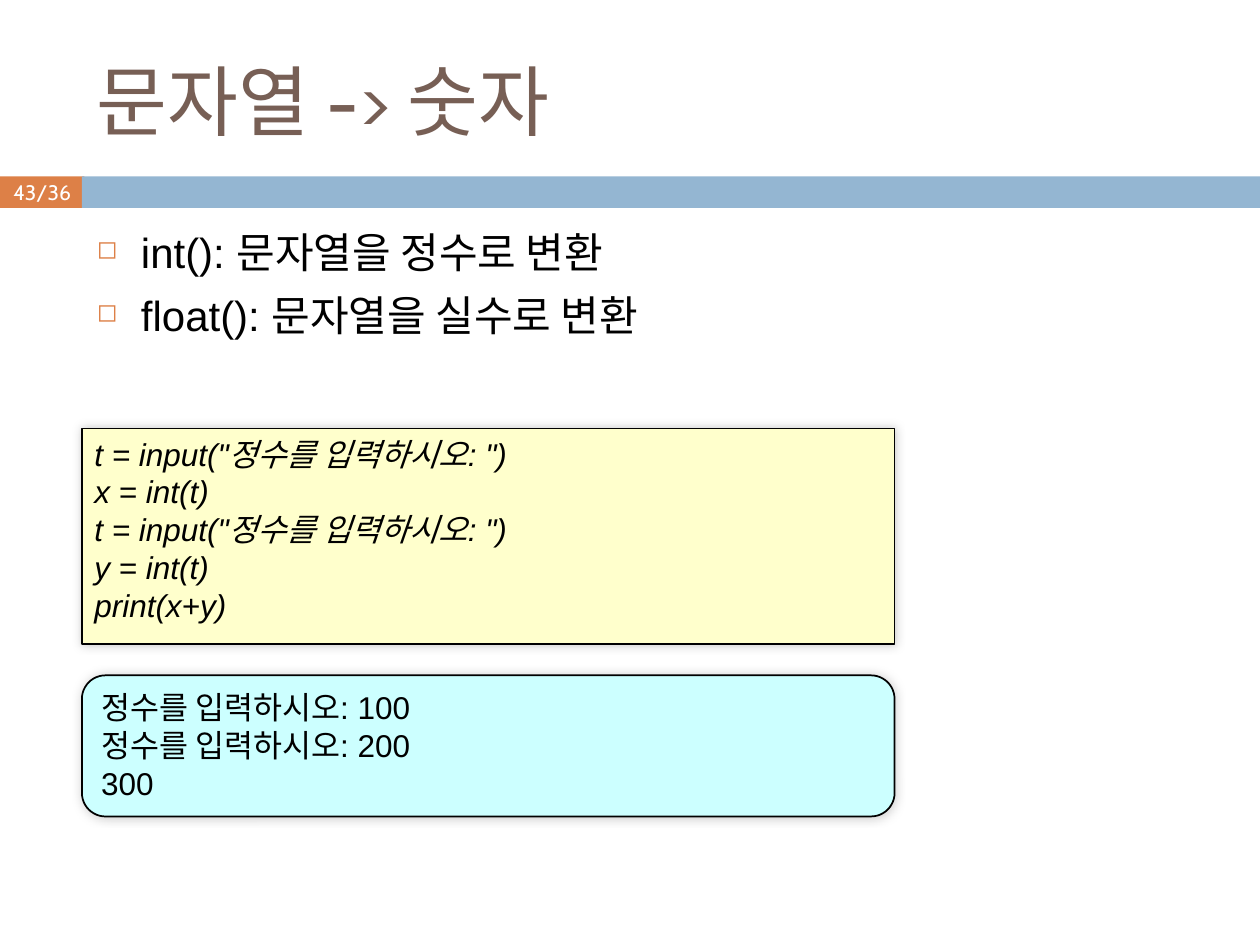
"""Build a slide on converting strings to numbers in Python."""
from lxml import etree
from pptx import Presentation
from pptx.dml.color import RGBColor
from pptx.enum.shapes import MSO_SHAPE as Shape
from pptx.enum.text import MSO_ANCHOR as Anchor, PP_ALIGN as Align
from pptx.oxml.ns import qn
from pptx.util import Inches, Pt

COLORS = {"orange": "DD8047", "blue": "94B6D2", "brown": "775F55", "black": "000000",
          "white": "FFFFFF", "yellow": "FFFFCC", "cyan": "CCFFFF"}

TITLE = ["문자열 -> 숫자"]
PAGE = ["43/36"]
FUNCTIONS = ["int(): 문자열을 정수로 변환", "float(): 문자열을 실수로 변환"]
PROMPT = "정수를 입력하시오: "
CODE = [f't = input("{PROMPT}")', "x = int(t)", f't = input("{PROMPT}")', "y = int(t)", "print(x+y)"]
OUTPUT = [f"{PROMPT}100", f"{PROMPT}200", "300"]

BAND_TOP, BAND_HEIGHT = 1.4, 0.25
BOX_LEFT, BOX_WIDTH = 0.65, 6.45
TEXT_LEFT, TEXT_WIDTH = 0.67, 8.92

CODE_FONT = {"name": "Arial", "size": Pt(18), "italic": True}
OUTPUT_FONT = {"name": "Arial", "size": Pt(18)}


def rgb(color):
    return RGBColor.from_string(COLORS[color])


def write(shape, lines, font, color="black", anchor=Anchor.TOP, align=Align.LEFT):
    frame = shape.text_frame
    frame.word_wrap = True
    frame.vertical_anchor = anchor
    frame.text = "\n".join(lines)
    for paragraph in frame.paragraphs:
        paragraph.alignment = align
        for run in paragraph.runs:
            for name, value in font.items():
                setattr(run.font, name, value)
            run.font.color.rgb = rgb(color)
    return frame


def add_panel(slide, kind, box, fill):
    panel = slide.shapes.add_shape(kind, *map(Inches, box))
    panel.shadow.inherit = False
    panel.fill.solid()
    panel.fill.fore_color.rgb = rgb(fill)
    panel.line.fill.background()
    return panel


def add_child(parent, tag, **attributes):
    return etree.SubElement(parent, qn(tag), attributes)


def outline_and_shade(panel):
    panel.line.color.rgb = rgb("black")
    panel.line.width = Pt(1)
    effects = panel._element.spPr.find(qn("a:effectLst"))
    shadow = add_child(effects, "a:outerShdw", blurRad=str(Pt(6)), dist="0",
                       dir=str(315 * 60000), algn="ctr", rotWithShape="0")
    shade = add_child(shadow, "a:srgbClr", val=COLORS["black"])
    add_child(shade, "a:alpha", val="20000")


def add_bullet(paragraph):
    paragraph.space_before = Pt(7)
    properties = paragraph._p.get_or_add_pPr()
    properties.set("marL", str(Inches(0.35)))
    properties.set("indent", str(-Inches(0.35)))
    tint = add_child(properties, "a:buClr")
    add_child(tint, "a:srgbClr", val=COLORS["orange"])
    add_child(properties, "a:buSzPct", val="60000")
    add_child(properties, "a:buChar", char="◻")


def add_text(slide, top, height):
    return slide.shapes.add_textbox(*map(Inches, (TEXT_LEFT, top, TEXT_WIDTH, height)))


def main():
    deck = Presentation()
    deck.slide_width, deck.slide_height = Inches(10), Inches(7.5)
    slide = deck.slides.add_slide(deck.slide_layouts[6])

    badge = add_panel(slide, Shape.RECTANGLE, (0, BAND_TOP, TEXT_LEFT, BAND_HEIGHT), "orange")
    badge.text_frame.margin_left = badge.text_frame.margin_right = 0
    badge.text_frame.margin_top = badge.text_frame.margin_bottom = 0
    write(badge, PAGE, {"name": "Cabin", "size": Pt(12)}, "white", Anchor.MIDDLE, Align.CENTER)
    add_panel(slide, Shape.RECTANGLE, (BOX_LEFT, BAND_TOP, 10 - BOX_LEFT, BAND_HEIGHT), "blue")

    write(add_text(slide, 0.25, 1.08), TITLE, {"name": "Cabin", "size": Pt(44)}, "brown", Anchor.MIDDLE)
    functions = write(add_text(slide, 1.75, 5.47), FUNCTIONS, {"name": "Arial", "size": Pt(24)})
    for paragraph in functions.paragraphs:
        add_bullet(paragraph)

    for kind, top, height, fill, lines, font in (
        (Shape.RECTANGLE, 3.4, 1.71, "yellow", CODE, CODE_FONT),
        (Shape.FLOWCHART_ALTERNATE_PROCESS, 5.36, 1.12, "cyan", OUTPUT, OUTPUT_FONT),
    ):
        panel = add_panel(slide, kind, (BOX_LEFT, top, BOX_WIDTH, height), fill)
        outline_and_shade(panel)
        write(panel, lines, font)

    deck.save("out.pptx")


if __name__ == "__main__":
    main()
